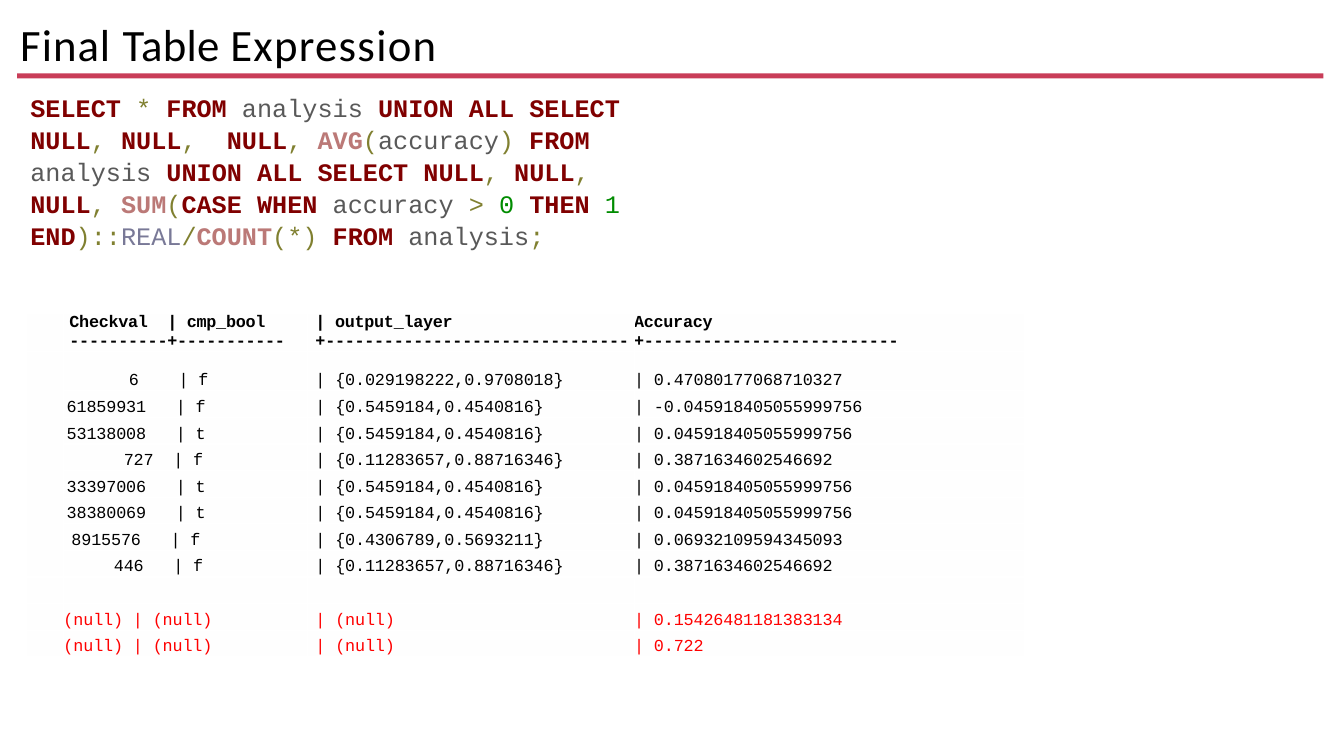
from lxml.etree import SubElement
from pptx import Presentation
from pptx.dml.color import RGBColor
from pptx.enum.shapes import MSO_SHAPE
from pptx.enum.text import MSO_ANCHOR, MSO_AUTO_SIZE, PP_ALIGN
from pptx.oxml.ns import qn
from pptx.util import Cm, Pt

COLORS = {
    "key": "800000", "op": "808030", "name": "595959",
    "func": "BB7977", "num": "008C00", "type": "797997",
}

QUERY = [
    ("SELECT ", "key"), ("* ", "op"), ("FROM", "key"), (" analysis ", "name"),
    ("UNION ALL SELECT  NULL", "key"), (", ", "op"), ("NULL", "key"),
    (",  ", "op"), ("NULL", "key"), (", ", "op"), ("AVG", "func"), ("(", "op"),
    ("accuracy", "name"), (") ", "op"), ("FROM", "key"), (" analysis ", "name"),
    ("UNION ALL SELECT NULL", "key"), (", ", "op"), ("NULL", "key"),
    (", ", "op"), ("NULL", "key"), (", ", "op"), ("SUM", "func"), ("(", "op"),
    ("CASE WHEN", "key"), (" accuracy ", "name"), ("> ", "op"), ("0 ", "num"),
    ("THEN ", "key"), ("1 ", "num"), ("END", "key"), (")::", "op"),
    ("REAL", "type"), ("/", "op"), ("COUNT", "func"), ("(*) ", "op"),
    ("FROM", "key"), (" analysis", "name"), (";", "op"),
]

HEADS = [
    "Checkval  | cmp_bool\n----------+-----------",
    "| output_layer\n+" + "-" * 31,
    "Accuracy\n+" + "-" * 26,
]

# Indent of the first column in cm, then the three columns
ROWS = [
    (1.65, "6    | f", "{0.029198222,0.9708018}", "0.47080177068710327"),
    (0.08, "61859931   | f", "{0.5459184,0.4540816}", "-0.045918405055999756"),
    (0.08, "53138008   | t", "{0.5459184,0.4540816}", "0.045918405055999756"),
    (1.52, "727  | f", "{0.11283657,0.88716346}", "0.3871634602546692"),
    (0.08, "33397006   | t", "{0.5459184,0.4540816}", "0.045918405055999756"),
    (0.08, "38380069   | t", "{0.5459184,0.4540816}", "0.045918405055999756"),
    (0.2, "8915576   | f", "{0.4306789,0.5693211}", "0.06932109594345093"),
    (1.27, "446   | f", "{0.11283657,0.88716346}", "0.3871634602546692"),
    None,
    (0, "(null) | (null)", "(null)", "0.15426481181383134"),
    (0, "(null) | (null)", "(null)", "0.722"),
]
TOTALS = ROWS.index(None)


def color(code):
    return RGBColor.from_string(code)


class Deck:
    head = "Calibri"
    mono = "Courier New"
    left, width = 0.43, 32.92

    def __init__(self):
        self.file = Presentation()
        self.file.slide_width = Cm(33.87)
        self.file.slide_height = Cm(19.05)
        self.slide = self.file.slides.add_slide(self.file.slide_layouts[1])

    def style(self, run, font, size, code, bold=False, gap=0):
        """Format a run; gap is the letter spacing in points."""
        run.font.name = font
        run.font.size = Pt(size)
        run.font.bold = bold
        run.font.color.rgb = color(code)
        if gap:
            run.font._element.set("spc", str(round(gap * 100)))

    def indent(self, para, left):
        props = para._p.get_or_add_pPr()
        props.set("marL", str(Cm(left)))
        props.set("indent", "0")

    def place(self, shape, top, height):
        """Span the slide between its margins."""
        shape.left, shape.top = Cm(self.left), Cm(top)
        shape.width, shape.height = Cm(self.width), Cm(height)

    def title(self, parts):
        shape = self.slide.shapes.title
        self.place(shape, 0.38, 1.32)
        frame = shape.text_frame
        frame.auto_size = MSO_AUTO_SIZE.NONE
        frame.vertical_anchor = MSO_ANCHOR.MIDDLE
        frame.margin_left = frame.margin_right = frame.margin_bottom = 0
        frame.margin_top = Cm(0.1)
        para = frame.paragraphs[0]
        para.alignment = PP_ALIGN.LEFT
        para.space_before = Pt(2.9)
        self.indent(para, 0.08)
        for text, gap in parts:
            run = para.add_run()
            run.text = text
            self.style(run, self.head, 32, "000000", gap=gap)

    def bar(self):
        shape = self.slide.shapes.add_shape(MSO_SHAPE.RECTANGLE, 0, 0, 0, 0)
        self.place(shape, 1.85, 0.13)
        shape.shadow.inherit = False
        shape.fill.solid()
        shape.fill.fore_color.rgb = color("C93D58")
        shape.line.fill.background()

    def query(self, parts):
        shape = self.slide.placeholders[1]
        self.place(shape, 2.16, 5)
        frame = shape.text_frame
        frame.auto_size = MSO_AUTO_SIZE.NONE
        frame.margin_right = Cm(16.5)
        para = frame.paragraphs[0]
        para.line_spacing = 1.06
        para.space_before = Pt(2.9)
        self.indent(para, 0.08)
        SubElement(para._p.get_or_add_pPr(), qn("a:buNone"))
        for text, kind in parts:
            run = para.add_run()
            run.text = text
            self.style(run, self.mono, 18, COLORS[kind], kind in ("key", "func"))

    def cell(self, cell, text, left, code="000000", bold=False):
        cell.margin_left = cell.margin_right = 0
        cell.margin_top = cell.margin_bottom = 0
        cell.vertical_anchor = MSO_ANCHOR.BOTTOM
        cell.fill.solid()
        cell.fill.fore_color.rgb = color("FEFEFE")
        cell.text_frame.text = text
        for para in cell.text_frame.paragraphs:
            self.indent(para, left)
            for run in para.runs:
                self.style(run, self.mono, 12, code, bold, -0.2 if bold else -0.1)
            if not para.runs:
                SubElement(para._p, qn("a:endParaRPr"), sz="1200")

    def table(self, heads, rows):
        widths = [0.94, 6.15, 8.23, 9.83]
        heights = [0.96, 0.99] + [0.67] * (len(rows) - 1)
        grid = self.slide.shapes.add_table(
            len(heights), len(widths), Cm(0.66), Cm(7.9),
            Cm(sum(widths)), Cm(sum(heights))).table
        grid.first_row = grid.horz_banding = False
        for col, width in zip(grid.columns, widths):
            col.width = Cm(width)
        for row, height in zip(grid.rows, heights):
            row.height = Cm(height)
        self.cell(grid.cell(0, 0), "", 0)
        for col, (text, left) in enumerate(zip(heads, (0.15, 0.2, 0)), 1):
            self.cell(grid.cell(0, col), text, left, bold=True)
        for num, row in enumerate(rows):
            first, *texts = row or (0, "", "", "")
            texts[1:] = ["| " + text if text else "" for text in texts[1:]]
            code = "FF0000" if num > TOTALS else "000000"
            for col, (text, left) in enumerate(
                    zip([""] + texts, (0, first, 0.2, 0))):
                self.cell(grid.cell(num + 1, col), text, left, code)
        grid.cell(1, 0).merge(grid.cell(TOTALS, 0))


def main():
    deck = Deck()
    deck.bar()
    deck.title([("Final ", 0.7), ("Table ", 0.2), ("Expression", 0.9)])
    deck.table(HEADS, ROWS)
    deck.query(QUERY)
    deck.file.save("out.pptx")


if __name__ == "__main__":
    main()
